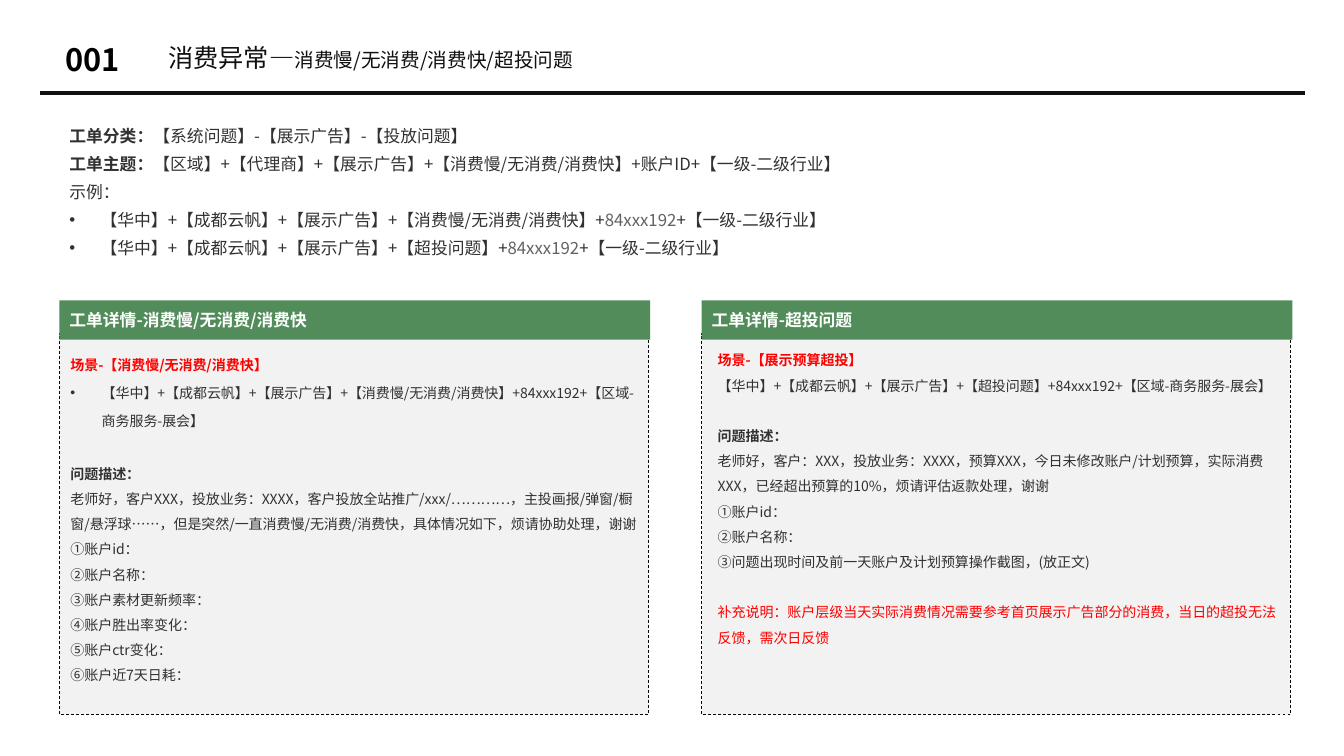
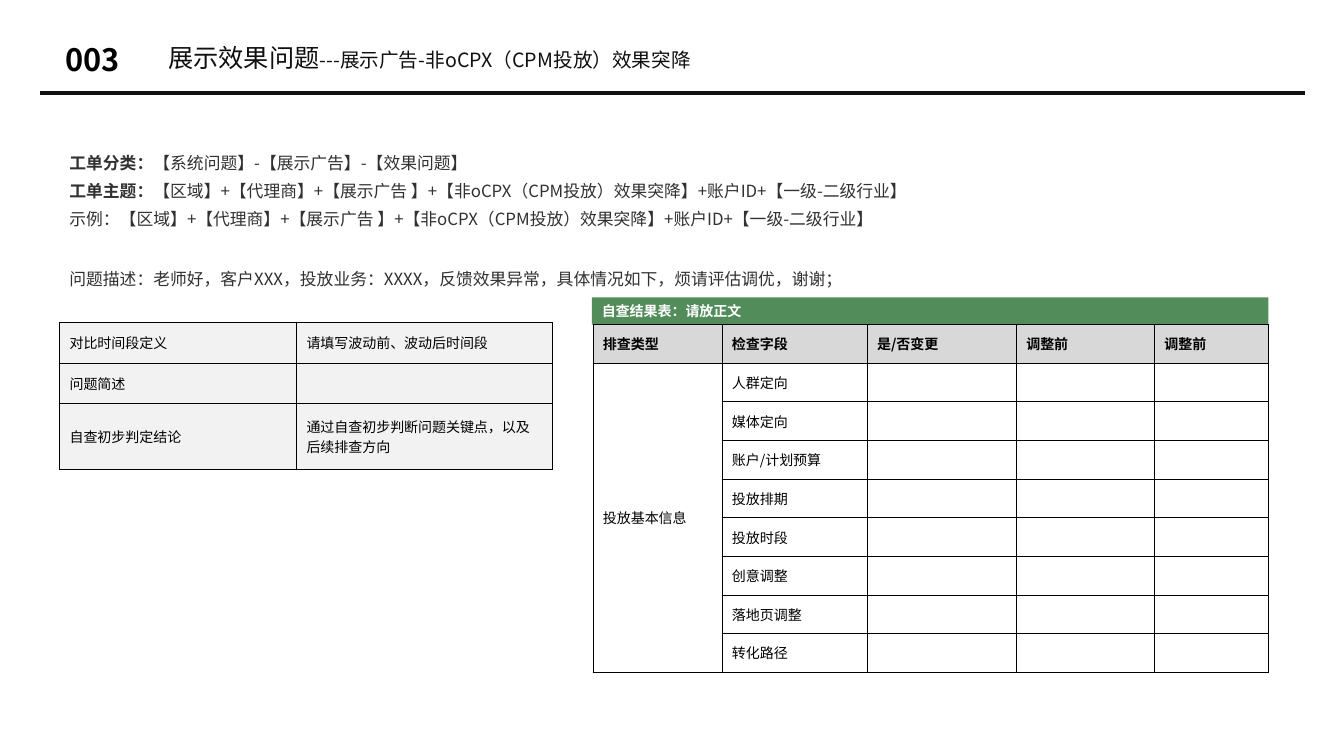
from dataclasses import dataclass

from lxml.etree import SubElement
from pptx import Presentation
from pptx.dml.color import RGBColor
from pptx.enum.dml import MSO_LINE
from pptx.enum.shapes import MSO_CONNECTOR, MSO_SHAPE
from pptx.enum.text import MSO_ANCHOR, PP_ALIGN
from pptx.oxml.ns import qn
from pptx.util import Inches, Pt


@dataclass(frozen=True)
class Theme:
    font: str = "Noto Sans CJK SC"
    ink: str = "101010"
    black: str = "000000"
    body: str = "313131"
    muted: str = "606266"
    alert: str = "FF0000"
    white: str = "FFFFFF"
    green: str = "538C5B"
    panel: str = "F2F2F2"
    panel_edge: str = "070707"
    table_head: str = "D8D8D8"
    number_size: int = 22
    title_size: int = 18
    subtitle_size: int = 14
    lead_size: int = 12
    small_size: int = 10
    lead_pitch: int = 20
    small_pitch: int = 18


THEME = Theme()


@dataclass
class Run:
    text: str
    color: str = THEME.body
    bold: bool = False
    size: int = THEME.small_size


@dataclass
class Para:
    runs: list
    pitch: float = THEME.small_pitch  # line pitch in points; below 1.5 a multiple
    bullet: bool = False
    gap: int = 0


def small(text, gap=0, **style):
    return Para([Run(text, **style)], gap=gap)


def lead(*parts, bullet=False):
    """A lead line from (text, style) pairs or plain strings."""
    pairs = [(part, {}) if isinstance(part, str) else part for part in parts]
    runs = [Run(text, size=THEME.lead_size, **style) for text, style in pairs]
    return Para(runs, THEME.lead_pitch, bullet)


BOLD = {"bold": True}
MUTED = {"color": THEME.muted}


class Deck:
    def __init__(self):
        self.prs = Presentation()
        self.prs.slide_width, self.prs.slide_height = Inches(13.33), Inches(7.5)
        self.slide = None

    def start(self, number, title, subtitle):
        """New slide with number, title and rule."""
        self.slide = self.prs.slides.add_slide(self.prs.slide_layouts[6])
        rule = self.slide.shapes.add_connector(
            MSO_CONNECTOR.STRAIGHT, Inches(0.4), Inches(0.92), Inches(12.94), Inches(0.92))
        rule.line.color.rgb = RGBColor.from_string(THEME.ink)
        rule.line.width = Pt(3)
        SubElement(rule._element.spPr, qn("a:effectLst"))
        heading = [Run(title, THEME.ink, size=THEME.title_size),
                   Run(subtitle, THEME.ink, size=THEME.subtitle_size)]
        self.text(1.67, 0.45, 8.93, 0.27, [Para(heading, 0.9)], inset=0, middle=True)
        self.text(0.65, 0.4, 0.67, 0.37,
                  [Para([Run(number, THEME.black, True, THEME.number_size)], 1.0)],
                  inset=0, middle=True)

    def fill_text(self, frame, paras):
        for index, para in enumerate(paras):
            line = frame.paragraphs[0] if index == 0 else frame.add_paragraph()
            line.alignment = PP_ALIGN.LEFT
            line.line_spacing = Pt(para.pitch) if para.pitch > 1.5 else para.pitch
            if para.gap:
                line.space_before = Pt(para.gap)
            if para.bullet:
                props = line._p.get_or_add_pPr()
                props.set("marL", str(Inches(0.31)))
                props.set("indent", str(-Inches(0.31)))
                SubElement(props, qn("a:buFont")).set("typeface", "Arial")
                SubElement(props, qn("a:buChar")).set("char", "•")
            for part in para.runs:
                run = line.add_run()
                run.text = part.text
                run.font.size, run.font.bold = Pt(part.size), part.bold
                run.font.color.rgb = RGBColor.from_string(part.color)
                run.font.name = THEME.font
                SubElement(run._r.get_or_add_rPr(), qn("a:ea")).set("typeface", THEME.font)

    def text(self, left, top, width, height, paras, inset=None, middle=False):
        box = self.slide.shapes.add_textbox(
            Inches(left), Inches(top), Inches(width), Inches(height))
        frame = box.text_frame
        frame.word_wrap = True
        if inset is not None:
            frame.margin_left = frame.margin_right = Inches(inset)
            frame.margin_top = frame.margin_bottom = Inches(inset)
        if middle:
            frame.vertical_anchor = MSO_ANCHOR.MIDDLE
        self.fill_text(frame, paras)

    def rect(self, left, top, width, height, fill):
        shape = self.slide.shapes.add_shape(
            MSO_SHAPE.RECTANGLE, Inches(left), Inches(top), Inches(width), Inches(height))
        shape.shadow.inherit = False
        shape.fill.solid()
        shape.fill.fore_color.rgb = RGBColor.from_string(fill)
        shape.line.fill.background()
        return shape

    def band(self, left, top, width, height, label, size):
        frame = self.rect(left, top, width, height, THEME.green).text_frame
        frame.margin_top = frame.margin_bottom = 0
        frame.vertical_anchor = MSO_ANCHOR.MIDDLE
        self.fill_text(frame, [Para([Run(label, THEME.white, True, size)], 1.0)])

    def panel(self, left, label, paras, dx, dy):
        """Dashed panel with a green band; dx, dy shift its text."""
        top = 3.31
        edge = self.rect(left, top, 5.84, 3.78, THEME.panel).line
        edge.color.rgb = RGBColor.from_string(THEME.panel_edge)
        edge.width = Pt(0.5)
        edge.dash_style = MSO_LINE.DASH
        self.text(left + dx, top + dy, 5.85, 3.5, paras)
        self.band(left, 2.98, 5.86, 0.39, label, THEME.lead_size)

    def table(self, left, top, widths, heights, rows, fills, bold_head=False):
        frame = self.slide.shapes.add_table(
            len(heights), len(widths), Inches(left), Inches(top),
            Inches(sum(widths)), Inches(sum(heights)))
        grid = frame.table
        grid.first_row = grid.horz_banding = False
        for column, width in zip(grid.columns, widths):
            column.width = Inches(width)
        for r, (texts, fill) in enumerate(zip(rows, fills)):
            grid.rows[r].height = Inches(heights[r])
            for c, text in enumerate(texts):
                self.cell(grid.cell(r, c), text, fill, bold_head and r == 0)
        return grid

    def cell(self, cell, text, fill, bold):
        cell.vertical_anchor = MSO_ANCHOR.MIDDLE
        if text:
            self.fill_text(cell.text_frame, [Para([Run(text, THEME.black, bold)], 1.0)])
        else:  # keeps empty rows from growing
            end = SubElement(cell.text_frame.paragraphs[0]._p, qn("a:endParaRPr"))
            end.set("sz", str(THEME.small_size * 100))
        props = cell._tc.get_or_add_tcPr()
        for side in ("lnL", "lnR", "lnT", "lnB"):
            border = SubElement(props, qn(f"a:{side}"))
            border.set("w", str(Pt(0.5)))
            paint = SubElement(border, qn("a:solidFill"))
            SubElement(paint, qn("a:srgbClr")).set("val", THEME.black)
        if fill:
            cell.fill.solid()
            cell.fill.fore_color.rgb = RGBColor.from_string(fill)
        else:
            cell.fill.background()


def spending_slide(deck):
    deck.start("001", "消费异常—", "消费慢/无消费/消费快/超投问题")

    # Ticket category, subject and examples
    example = "【华中】+【成都云帆】+【展示广告】+"
    account, industry = ("84xxx192", MUTED), "+【一级-二级行业】"
    deck.text(0.59, 1.12, 12.14, 1.75, [
        lead(("工单分类：", BOLD), "【系统问题】-【展示广告】-【投放问题】"),
        lead(("工单主题：", BOLD),
             "【区域】+【代理商】+【展示广告】+【消费慢/无消费/消费快】+账户ID+【一级-二级行业】"),
        lead("示例："),
        lead(example + "【消费慢/无消费/消费快】+", account, industry, bullet=True),
        lead(example + "【超投问题】+", account, industry, bullet=True),
    ])

    # Ticket details: slow, no or fast spending
    fields = ["①账户id：", "②账户名称：", "③账户素材更新频率：",
              "④账户胜出率变化：", "⑤账户ctr变化：", "⑥账户近7天日耗："]
    sample = Run(example + "【消费慢/无消费/消费快】+84xxx192+【区域-商务服务-展会】")
    deck.panel(0.59, "工单详情-消费慢/无消费/消费快", [
        small("场景-【消费慢/无消费/消费快】", color=THEME.alert, bold=True),
        Para([sample], THEME.lead_pitch, bullet=True),
        small("问题描述：", gap=THEME.lead_pitch, bold=True),
        small("老师好，客户XXX，投放业务：XXXX，客户投放全站推广/xxx/…………，主投画报/弹窗/橱窗/"
              "悬浮球……，但是突然/一直消费慢/无消费/消费快，具体情况如下，烦请协助处理，谢谢"),
        *map(small, fields),
    ], 0.01, 0.09)

    # Ticket details: overspending
    deck.panel(6.96, "工单详情-超投问题", [
        small("场景-【展示预算超投】", color=THEME.alert, bold=True),
        small(example + "【超投问题】+84xxx192+【区域-商务服务-展会】"),
        small("问题描述：", gap=THEME.small_pitch, bold=True),
        small("老师好，客户：XXX，投放业务：XXXX，预算XXX，今日未修改账户/计划预算，"
              "实际消费XXX，已经超出预算的10%，烦请评估返款处理，谢谢"),
        *map(small, fields[:2]),
        small("③问题出现时间及前一天账户及计划预算操作截图，(放正文)"),
        small("补充说明：账户层级当天实际消费情况需要参考首页展示广告部分的消费，"
              "当日的超投无法反馈，需次日反馈", gap=THEME.small_pitch, color=THEME.alert),
    ], 0.06, 0.05)


def effect_slide(deck):
    deck.start("003", "展示效果问题", "---展示广告-非oCPX（CPM投放）效果突降")

    # Ticket category, subject and example
    subject = ("【区域】+【代理商】+【展示广告 】+【非oCPX（CPM投放）效果突降】"
               "+账户ID+【一级-二级行业】")
    deck.text(0.59, 1.39, 12.14, 1.19, [
        lead(("工单分类：", BOLD), "【系统问题】-【展示广告】-【效果问题】"),
        lead(("工单主题：", BOLD), subject),
        lead("示例：" + subject),
    ])
    deck.text(0.59, 2.54, 9.97, 0.37, [lead(
        "问题描述：老师好，客户XXX，投放业务：XXXX，反馈效果异常，具体情况如下，烦请评估调优，谢谢；")])

    # Self-check results
    deck.band(5.87, 2.95, 6.71, 0.27, "自查结果表：请放正文", THEME.small_size)
    checks = ["人群定向", "媒体定向", "账户/计划预算", "投放排期",
              "投放时段", "创意调整", "落地页调整", "转化路径"]
    rows = [["排查类型", "检查字段", "是/否变更", "调整前", "调整前"]]
    rows += [["" if i else "投放基本信息", check, "", "", ""] for i, check in enumerate(checks)]
    results = deck.table(5.88, 3.22, [1.28, 1.44, 1.48, 1.37, 1.13],
                         [3.45 / len(rows)] * len(rows), rows,
                         [THEME.table_head] + [None] * len(checks), bold_head=True)
    results.cell(1, 0).merge(results.cell(len(checks), 0))

    # Problem summary
    summary = [["对比时间段定义", "请填写波动前、波动后时间段"],
               ["问题简述", ""],
               ["自查初步判定结论", "通过自查初步判断问题关键点，以及后续排查方向"]]
    deck.table(0.59, 3.2, [2.35, 2.54], [0.4, 0.4, 0.66], summary,
               [THEME.panel] * len(summary))


def main():
    deck = Deck()
    spending_slide(deck)
    effect_slide(deck)
    deck.prs.save("out.pptx")


if __name__ == "__main__":
    main()
